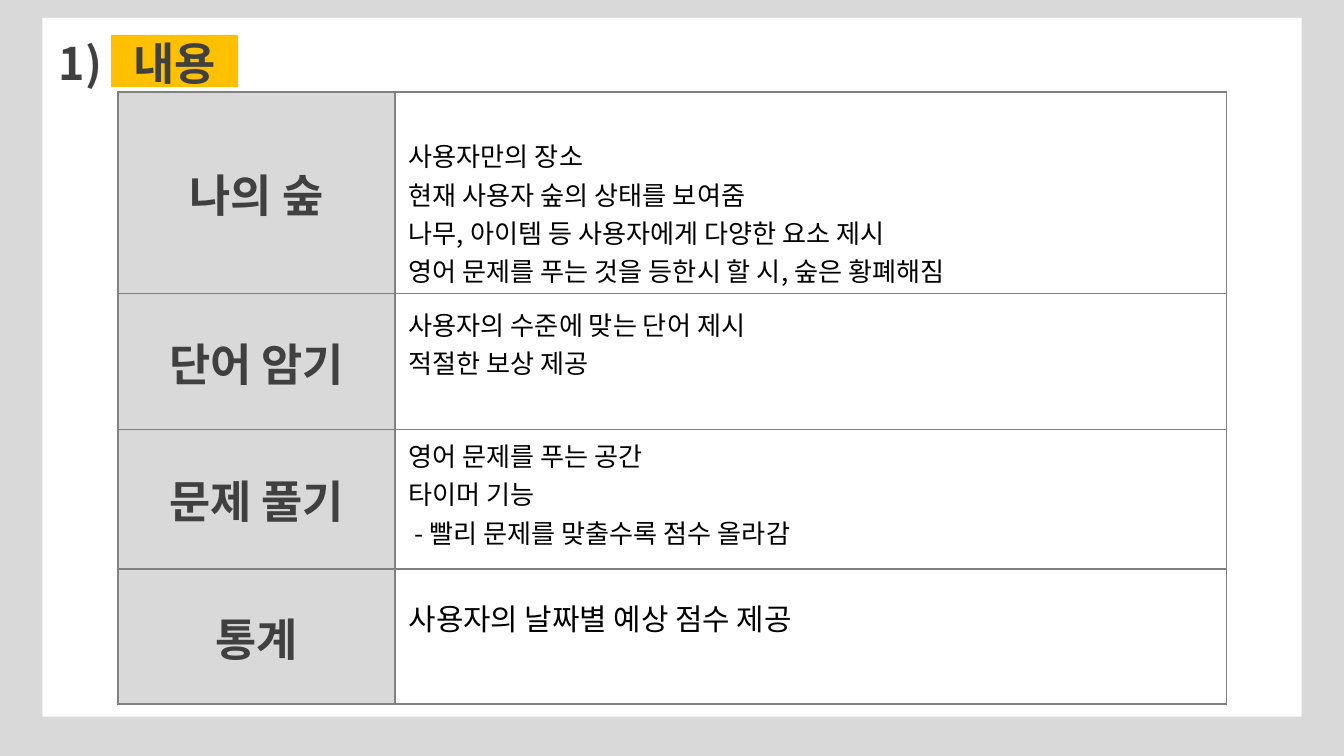
from lxml.etree import SubElement
from pptx import Presentation
from pptx.dml.color import RGBColor
from pptx.enum.shapes import MSO_SHAPE as Shape
from pptx.enum.text import MSO_ANCHOR as Anchor, MSO_AUTO_SIZE as AutoSize, PP_ALIGN as Align
from pptx.oxml.ns import qn
from pptx.util import Cm, Pt

FONT = "Noto Sans CJK KR"
GRAY = "D9D9D9"
WHITE = "FFFFFF"
DARK = "404040"


def paint(fill, color):
    fill.solid()
    fill.fore_color.rgb = RGBColor.from_string(color)


def write(frame, text, size=14, color="000000", bold=False, align=Align.LEFT):
    frame.text = text
    for para in frame.paragraphs:
        para.alignment = align
        for span in para.runs:
            span.font.size = Pt(size)
            span.font.bold = bold
            span.font.name = FONT
            span.font.color.rgb = RGBColor.from_string(color)
            SubElement(span.font._element, qn("a:ea"), typeface=FONT)


deck = Presentation()
deck.slide_width = Cm(25.4)
deck.slide_height = Cm(14.29)
page = deck.slides.add_slide(deck.slide_layouts[5])
paint(page.background.fill, GRAY)

for left, top, width, height, color in [
    (0.8, 0.34, 23.8, 13.21, WHITE),
    (2.1, 0.66, 2.4, 0.99, "FFC000"),
]:
    box = page.shapes.add_shape(Shape.RECTANGLE, Cm(left), Cm(top), Cm(width), Cm(height))
    box.shadow.inherit = False
    paint(box.fill, color)
    box.line.fill.background()

title = page.shapes.title
title.left, title.top, title.width, title.height = Cm(0.86), Cm(0.55), Cm(3.63), Cm(1.27)
title.text_frame.auto_size = AutoSize.NONE
title.text_frame.vertical_anchor = Anchor.MIDDLE
write(title.text_frame, "1)\t내용", size=24, color=DARK, bold=True)
tabs = SubElement(title.text_frame.paragraphs[0]._p.get_or_add_pPr(), qn("a:tabLst"))
SubElement(tabs, qn("a:tab"), pos=str(Cm(1.41)), algn="l")
title.element.getparent().append(title.element)

sections = [
    ("나의 숲", ["사용자만의 장소", "현재 사용자 숲의 상태를 보여줌",
              "나무, 아이템 등 사용자에게 다양한 요소 제시",
              "영어 문제를 푸는 것을 등한시 할 시, 숲은 황폐해짐"], 14, 3.81, Anchor.BOTTOM, 0.09),
    ("단어 암기", ["사용자의 수준에 맞는 단어 제시", "적절한 보상 제공"], 14, 2.57, Anchor.MIDDLE, 0.83),
    ("문제 풀기", ["영어 문제를 푸는 공간", "타이머 기능",
               " - 빨리 문제를 맞출수록 점수 올라감"], 14, 2.62, Anchor.MIDDLE, 0.35),
    ("통계", ["사용자의 날짜별 예상 점수 제공"], 16, 2.55, Anchor.MIDDLE, 0.85),
]
table = page.shapes.add_table(len(sections), 2, Cm(2.23), Cm(1.74), Cm(20.95), Cm(11.55)).table
table.first_row = False
table.horz_banding = False
table.columns[0].width = Cm(5.24)
table.columns[1].width = Cm(15.71)

for row, (label, lines, size, height, anchor, margin) in enumerate(sections):
    table.rows[row].height = Cm(height)
    name_cell, detail_cell = table.cell(row, 0), table.cell(row, 1)
    for cell, color in [(name_cell, GRAY), (detail_cell, WHITE)]:
        props = cell._tc.get_or_add_tcPr()
        for side in ["lnL", "lnR", "lnT", "lnB"]:
            border = SubElement(props, qn(f"a:{side}"), w=str(Pt(1)))
            SubElement(SubElement(border, qn("a:solidFill")), qn("a:srgbClr"), val="808080")
        paint(cell.fill, color)
    write(name_cell.text_frame, label, size=24, color=DARK, bold=True, align=Align.CENTER)
    write(detail_cell.text_frame, "\n".join(lines), size=size)
    name_cell.vertical_anchor = Anchor.MIDDLE
    detail_cell.vertical_anchor = anchor
    detail_cell.margin_bottom = Cm(margin)

deck.save("out.pptx")
